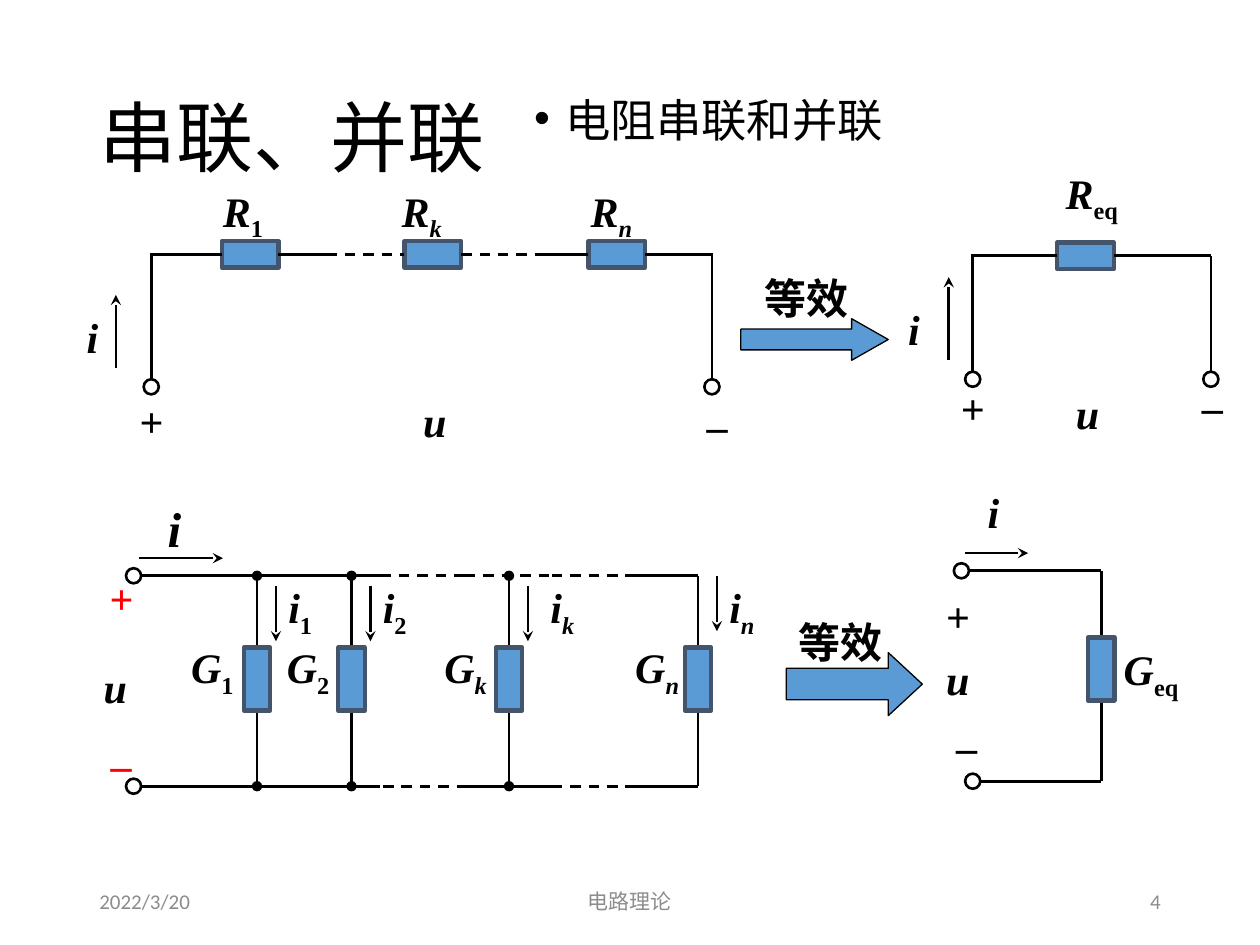
from lxml.etree import SubElement as Sub
from pptx import Presentation as Deck
from pptx.dml.color import RGBColor as Rgb
from pptx.enum.dml import MSO_LINE as Dash
from pptx.enum.shapes import MSO_CONNECTOR as Link, MSO_SHAPE as Shape
from pptx.enum.text import MSO_ANCHOR as Anchor, PP_ALIGN as Align
from pptx.oxml.ns import qn
from pptx.util import Inches, Pt

CELL = Inches(0.1)
COLS, ROWS = 100, 75
SERIF, SANS = "Times New Roman", "Calibri"
BLACK, RED, GREY = "000000", "FF0000", "8C8C8C"
BLUE, SLATE = "5B9BD5", "44546A"
TOP, LEFT, BASE, RIGHT = range(4)


def cells(*nums):
    return [round(n * CELL) for n in nums]


def paint(form, code):
    form.rgb = Rgb.from_string(code)


def style(run, face, size, ink):
    run.font.name = face
    run.font.size = Pt(size)
    paint(run.font.color, ink)


def text(pen, area, words, size, ink=BLACK, align=Align.LEFT):
    box = pen.add_textbox(*cells(*area))
    frame = box.text_frame
    frame.word_wrap = True
    frame.vertical_anchor = Anchor.MIDDLE
    frame.text = words
    para = frame.paragraphs[0]
    para.alignment = align
    style(para.runs[0], SANS, size, ink)
    return frame


def bullet(pen, area, words, size):
    frame = text(pen, area, words, size)
    frame.vertical_anchor = Anchor.TOP
    para = frame.paragraphs[0]
    para.line_spacing = 0.7
    props = para._p.get_or_add_pPr()
    props.set("marL", str(Inches(0.25)))
    props.set("indent", str(-Inches(0.25)))
    Sub(props, qn("a:buFont"), typeface="Arial")
    Sub(props, qn("a:buChar"), char="•")


def label(pen, x, y, width, name, sub="", mid=False, ink=BLACK, size=24):
    box = pen.add_textbox(*cells(x, y, width, 5 * size / 24))
    frame = box.text_frame
    frame.word_wrap = not mid
    frame.text = name
    para = frame.paragraphs[0]
    if mid:
        frame.vertical_anchor = Anchor.MIDDLE
        para.alignment = Align.CENTER
    if sub:
        low = para.add_run()
        low.text = sub
        low._r.get_or_add_rPr().set("baseline", "-25000")
    for run in para.runs:
        style(run, SERIF, size, ink)
        run.font.bold = True
        run.font.italic = run.text in ("R", "G", "i", "u", "k", "n")
    return box


def solid(pen, kind, area, fill, edge, weight):
    form = pen.add_shape(kind, *cells(*area))
    form.shadow.inherit = False
    if fill:
        form.fill.solid()
        paint(form.fill.fore_color, fill)
    else:
        form.fill.background()
    paint(form.line.color, edge)
    form.line.width = Pt(weight)
    return form


def part(pen, x, y, width, height):
    area = (x - width / 2, y - height / 2, width, height)
    return solid(pen, Shape.RECTANGLE, area, BLUE, SLATE, 2.5)


def node(pen, x, y):
    solid(pen, Shape.OVAL, (x - 0.6, y - 0.6, 1.2, 1.2), None, BLACK, 1.5)


def arrow(pen, area, point):
    form = solid(pen, Shape.RIGHT_ARROW, area, BLUE, BLACK, 0.75)
    form.adjustments[0] = 0.5
    form.adjustments[1] = point


def wire(pen, x1, y1, x2, y2, dash=False, head="", tail="", start=None, end=None):
    line = pen.add_connector(Link.STRAIGHT, *cells(x1, y1, x2, y2))
    line.line.width = Pt(1.5)
    paint(line.line.color, BLACK)
    if dash:
        line.line.dash_style = Dash.DASH
    edge = line.line._get_or_add_ln()
    for tag, kind in (("a:headEnd", head), ("a:tailEnd", tail)):
        if kind:
            Sub(edge, qn(tag), type=kind)
    Sub(line._element.spPr, qn("a:effectLst"))
    if start:
        line.begin_connect(*start)
    if end:
        line.end_connect(*end)


def chain(pen):
    y = 20.2
    spots = (("1", 19.85, 16.7), ("k", 34.35, 30.9), ("n", 48.95, 45.9))
    parts = []
    for sub, x, left in spots:
        parts.append(part(pen, x, y, 4.5, 2.1))
        label(pen, left, 14.2, 6.7, "R", sub)
    first, mid, last = parts
    for x, rect, dash in ((11.9, first, False), (25.9, mid, True), (42.6, last, False)):
        wire(pen, x, y, x + 4, y, dash, end=(rect, LEFT))
    for x, rect, dash in ((26.2, first, False), (42.6, mid, True), (56.6, last, False)):
        wire(pen, x - 4, y, x, y, dash, start=(rect, RIGHT))
    for x in (12, 56.5):
        wire(pen, x, y, x, 30.1)
        node(pen, x, 30.7)
    wire(pen, 9.2, 29.2, 9.2, 23.4, tail="stealth")
    label(pen, 5.9, 24.2, 3.3, "i")
    label(pen, 10.1, 30.9, 3.3, "+")
    label(pen, 32.6, 30.9, 5.6, "u")
    label(pen, 55.1, 30.1, 3.3, "_")


def chain_sum(pen):
    y = 20.3
    rect = part(pen, 86.15, y, 4.5, 2.1)
    wire(pen, 77.1, y, 83.9, y, end=(rect, LEFT))
    wire(pen, 88.4, y, 96.1, y, start=(rect, RIGHT))
    for x in (77.2, 96.1):
        wire(pen, x, 29.5, x, y)
        node(pen, x, 30.1)
    wire(pen, 75.3, 28.6, 75.3, 22, tail="stealth")
    label(pen, 83.6, 12.8, 11.7, "R", "eq")
    label(pen, 71.1, 23.6, 3.3, "i")
    label(pen, 74.9, 29.9, 4.2, "+").rotation = 270
    label(pen, 84.4, 30.3, 4.2, "u")
    label(pen, 94.4, 28.6, 3.3, "_")


def ladder(pen):
    high, low = 45.7, 62.4
    rails = (
        (high, (30.2, 36.9, 43.8, 49.6), (True, True, True)),
        (low, (30.4, 37.1, 43.8, 49.6), (True, False, True)),
    )
    for y, stops, marks in rails:
        node(pen, 10.6, y)
        wire(pen, 11.2, y, 30.2, y)
        for x1, x2, dash in zip(stops, stops[1:], marks):
            wire(pen, x1, y, x2, y, dash)
        wire(pen, 49.6, y, 55.4, y)
    spots = (
        ("1", 20.4, 14.1, 21.9, 46.5),
        ("2", 27.9, 21.7, 29.4, 46.5),
        ("k", 40.4, 34.2, 42.7, 46.5),
        ("n", 55.4, 49.4, 56.9, 45.7),
    )
    for sub, x, left, right, top in spots:
        dot = "" if sub == "n" else "oval"
        wire(pen, x, low, x, high, head=dot, tail=dot)
        part(pen, x, 53.9, 2.1, 5)
        label(pen, left, 50.7, 5.5, "G", sub, mid=True)
        label(pen, right, 45.7, 5.6, "i", sub)
        wire(pen, x + 1.5, top, x + 1.5, top + 4.4, tail="stealth")
    wire(pen, 11, 44.3, 17.7, 44.3, tail="stealth")
    label(pen, 12.3, 39, 3.1, "i", mid=True, size=28)
    label(pen, 7.7, 44.9, 3.9, "+", mid=True, ink=RED)
    label(pen, 7.2, 52, 3.9, "u", mid=True)
    label(pen, 7.8, 57, 3.7, "_", ink=RED)


def ladder_sum(pen):
    x, high, low = 87.4, 45.3, 62
    wire(pen, 76.9, high, x, high)
    wire(pen, 77.8, low, x, low)
    wire(pen, x, high, x, low)
    part(pen, x, 53.1, 2.1, 5)
    node(pen, 76.3, high)
    node(pen, 77.2, low)
    wire(pen, 76.6, 43.9, 81.6, 43.9, tail="stealth")
    label(pen, 88.2, 50.6, 7.5, "G", "eq")
    label(pen, 77.4, 38.1, 3.3, "i")
    label(pen, 74.1, 46.4, 4.2, "+")
    label(pen, 74.1, 51.4, 4.2, "u")
    label(pen, 74.9, 55.6, 3.3, "_")


def main():
    deck = Deck()
    deck.slide_width, deck.slide_height = cells(COLS, ROWS)
    slide = deck.slides.add_slide(deck.slide_layouts[6])
    pen = slide.shapes
    title = text(pen, (6.9, 4, 86.2, 14.5), "串联、并联", 44)
    title.paragraphs[0].line_spacing = 0.9
    bullet(pen, (41.4, 8, 31.8, 4.3), "电阻串联和并联", 25.9)
    text(pen, (6.9, 69.5, 22.5, 4), "2022/3/20", 12, GREY)
    text(pen, (33.1, 69.5, 33.8, 4), "电路理论", 12, GREY, Align.CENTER)
    text(pen, (70.6, 69.5, 22.5, 4), "4", 12, GREY, Align.RIGHT)
    arrow(pen, (58.8, 25.3, 11.7, 3.3), 0.88)
    label(pen, 59.7, 21.1, 10, "等效")
    arrow(pen, (62.4, 51.8, 10.8, 5), 0.54)
    label(pen, 62.4, 48.4, 9.2, "等效")
    for draw in (chain, chain_sum, ladder, ladder_sum):
        draw(pen.add_group_shape().shapes)
    deck.save("out.pptx")


if __name__ == "__main__":
    main()
